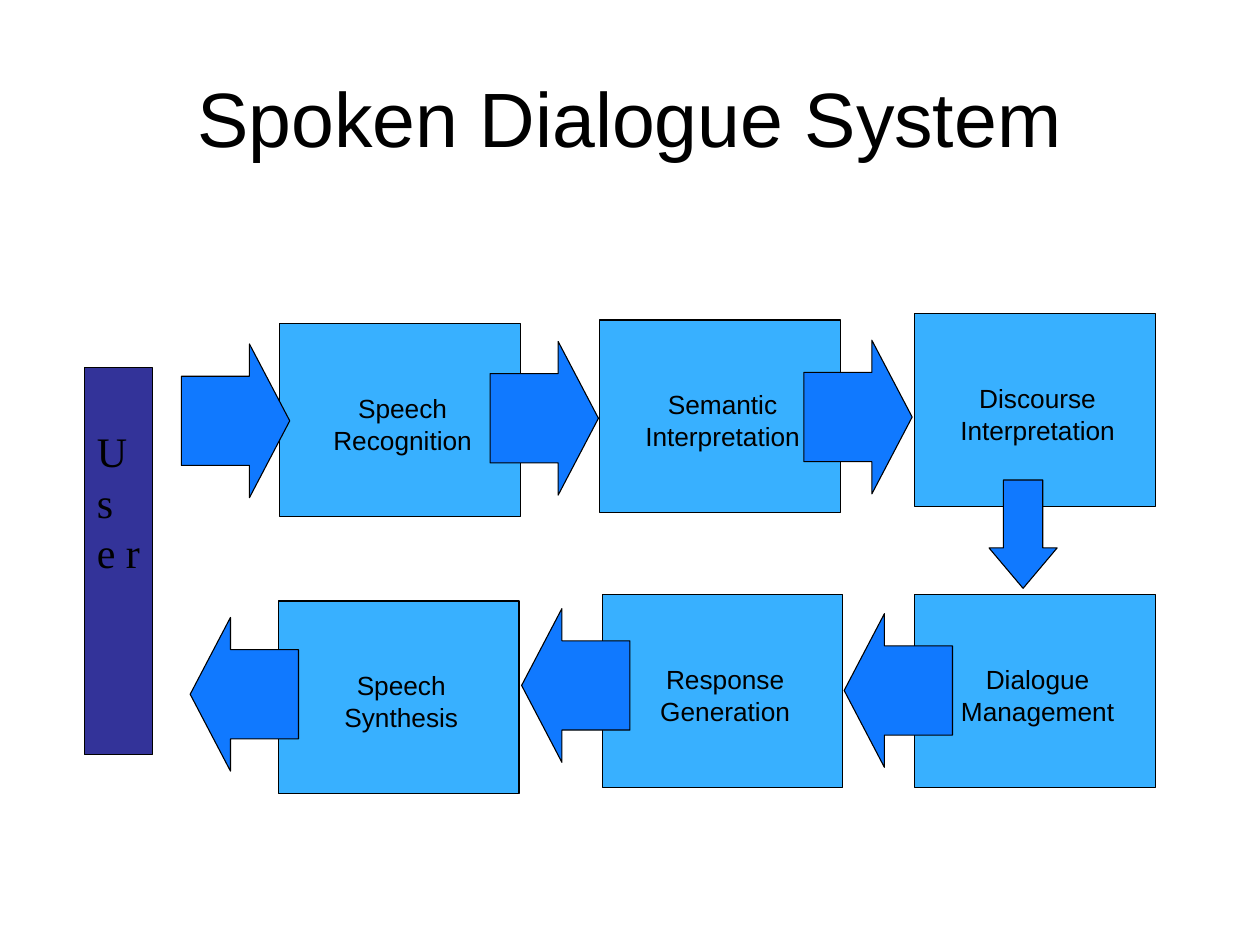
"""Build the Spoken Dialogue System slide: a loop of six stages beside the user."""
from dataclasses import dataclass

from pptx import Presentation
from pptx.dml.color import RGBColor
from pptx.enum.shapes import MSO_SHAPE
from pptx.enum.text import MSO_ANCHOR, PP_ALIGN
from pptx.util import Inches, Pt

RECTANGLE = MSO_SHAPE.RECTANGLE
RIGHT, LEFT, DOWN = MSO_SHAPE.RIGHT_ARROW, MSO_SHAPE.LEFT_ARROW, MSO_SHAPE.DOWN_ARROW
TOP, MIDDLE = MSO_ANCHOR.TOP, MSO_ANCHOR.MIDDLE
ALIGN_LEFT, CENTER = PP_ALIGN.LEFT, PP_ALIGN.CENTER


@dataclass(frozen=True)
class Theme:
    ink: RGBColor = RGBColor(0, 0, 0)
    stage: RGBColor = RGBColor(0x38, 0xB0, 0xFF)
    arrow: RGBColor = RGBColor(0x10, 0x79, 0xFF)
    user: RGBColor = RGBColor(0x33, 0x33, 0x99)
    sans: str = "Arial"
    serif: str = "Times New Roman"
    title_size: float = 44
    stage_size: float = 15
    user_size: float = 24
    outline: float = 0.62


THEME = Theme()
TITLE = "Spoken Dialogue System"
TITLE_AREA = (0.5, 0.3, 9, 1.25)
USER = "Us e r"
USER_AREA = (0.67, 2.92, 0.54, 3.07)
USER_INSETS = (0.1, 0.46, 0.1, 0.05)
USER_PITCH = 1.2
STAGE_SIZE = (1.91, 1.53)
STAGE_INSETS = (0.04, 0.06, 0, 0)
STAGES = [
    (("Speech", "Synthesis"), 2.21, 4.77),
    (("Speech", "Recognition"), 2.22, 2.57),
    (("Semantic", "Interpretation"), 4.76, 2.54),
    (("Response", "Generation"), 4.78, 4.72),
    (("Dialogue", "Management"), 7.26, 4.72),
    (("Discourse", "Interpretation"), 7.26, 2.49),
]
ARROW_SIZES = {RIGHT: (0.86, 1.22), LEFT: (0.86, 1.22), DOWN: (0.54, 0.86)}
HEAD_LENGTH = 0.32
SHAFT_SHARE = 0.58
ARROWS = [
    (RIGHT, 3.89, 2.71),
    (RIGHT, 6.38, 2.7),
    (DOWN, 7.85, 3.81),
    (LEFT, 6.7, 4.87),
    (LEFT, 4.14, 4.83),
    (LEFT, 1.51, 4.9),
    (RIGHT, 1.44, 2.73),
]


def add_block(page, kind, area, color):
    block = page.shapes.add_shape(kind, *map(Inches, area))
    block.shadow.inherit = False
    block.fill.solid()
    block.fill.fore_color.rgb = color
    block.line.color.rgb = THEME.ink
    block.line.width = Pt(THEME.outline)
    return block


def set_text(box, lines, family, size, align, anchor):
    frame = box.text_frame
    frame.word_wrap = True
    frame.vertical_anchor = anchor
    frame.text = "\n".join(lines)
    for para in frame.paragraphs:
        para.alignment = align
        para.font.name = family
        para.font.size = Pt(size)
        para.font.color.rgb = THEME.ink
    return frame


def set_insets(frame, insets):
    (frame.margin_left, frame.margin_top,
     frame.margin_right, frame.margin_bottom) = map(Inches, insets)


def add_title(page):
    title = page.shapes.title
    title.left, title.top, title.width, title.height = map(Inches, TITLE_AREA)
    set_text(title, [TITLE], THEME.sans, THEME.title_size, CENTER, MIDDLE)


def add_stage(page, lines, left, top):
    stage = add_block(page, RECTANGLE, (left, top, *STAGE_SIZE), THEME.stage)
    frame = set_text(stage, lines, THEME.sans, THEME.stage_size, CENTER, MIDDLE)
    set_insets(frame, STAGE_INSETS)


def add_arrow(page, kind, left, top):
    size = ARROW_SIZES[kind]
    arrow = add_block(page, kind, (left, top, *size), THEME.arrow)
    arrow.adjustments[0] = SHAFT_SHARE
    arrow.adjustments[1] = HEAD_LENGTH / min(size)


def add_user(page):
    user = add_block(page, RECTANGLE, USER_AREA, THEME.user)
    frame = set_text(user, [USER], THEME.serif, THEME.user_size, ALIGN_LEFT, TOP)
    set_insets(frame, USER_INSETS)
    frame.paragraphs[0].line_spacing = Pt(THEME.user_size * USER_PITCH)


def main():
    deck = Presentation()
    deck.slide_width, deck.slide_height = Inches(10), Inches(7.5)
    page = deck.slides.add_slide(deck.slide_layouts.get_by_name("Title Only"))
    add_title(page)
    for stage in STAGES:
        add_stage(page, *stage)
    for arrow in ARROWS:
        add_arrow(page, *arrow)
    add_user(page)
    deck.save("out.pptx")


if __name__ == "__main__":
    main()
